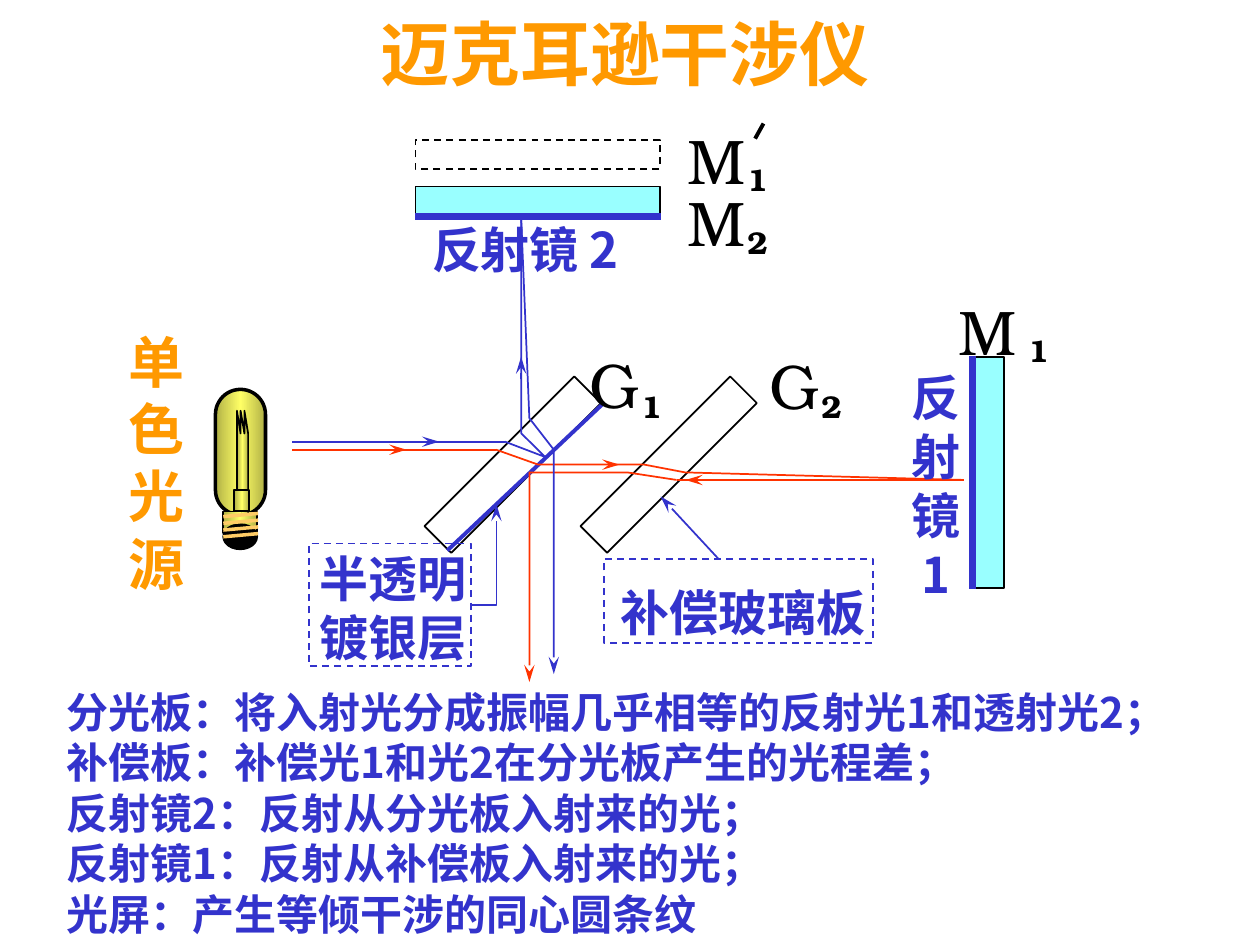
from dataclasses import dataclass
from typing import Optional

from lxml.etree import SubElement
from pptx import Presentation
from pptx.dml.color import RGBColor
from pptx.enum.dml import MSO_LINE
from pptx.enum.shapes import MSO_CONNECTOR, MSO_SHAPE
from pptx.enum.text import MSO_ANCHOR, PP_ALIGN
from pptx.oxml.ns import qn
from pptx.util import Pt


@dataclass(frozen=True)
class Theme:
    blue: str = "3333CC"
    red: str = "FF3300"
    orange: str = "FF9900"
    black: str = "000000"
    mirror: str = "99FFFF"
    brass: str = "FFCC66"
    glow_edge: str = "B1B146"
    glow_middle: str = "FFFF66"
    chinese: str = "Noto Sans CJK SC"
    serif: str = "TeX Gyre Bonum"
    title: int = 40
    source: int = 32
    label: int = 28
    body: int = 24
    symbol: int = 36
    subscript: int = 18


THEME = Theme()
GLOW = "glow"


@dataclass(frozen=True)
class Label:
    lines: tuple[str, ...]
    box: tuple[float, float, float, float]
    size: int = THEME.label
    color: str = THEME.blue
    font: str = THEME.chinese
    bold: bool = True
    align: PP_ALIGN = PP_ALIGN.LEFT


@dataclass(frozen=True)
class Ray:
    points: tuple[tuple[float, float], ...]
    color: str
    width: float = 1
    arrow: bool = False
    fill: Optional[str] = None


@dataclass(frozen=True)
class Block:
    box: tuple[float, float, float, float]
    color: str = THEME.black
    fill: Optional[str] = None
    kind: MSO_SHAPE = MSO_SHAPE.RECTANGLE
    width: float = 1
    dashed: bool = False
    rotation: float = 0


PLATES = [Block((x, 254.7, 121, 21.6), rotation=315) for x in (232.5, 321.6)]
RAYS = [
    Ray(((167, 257), (283.5, 257)), THEME.red),
    Ray(((344.9, 230.4), (255.6, 314.6)), THEME.blue, 2.25),
    Ray(((283.5, 257), (307.4, 265.5), (367.9, 265.5), (391.5, 270), (550.8, 274.3)), THEME.red),
    Ray(((550.8, 274.3), (386.6, 274.3)), THEME.red),
    Ray(((386.6, 274.3), (358.6, 270), (302.5, 270), (302.5, 389.8)), THEME.red, arrow=True),
    Ray(((167, 252.4), (288.5, 252.4)), THEME.blue),
    Ray(((288.5, 252.4), (311.6, 261.2), (297.8, 247.6), (297.8, 123.8)), THEME.blue),
    Ray(((297.8, 123.8), (302.5, 239)), THEME.blue),
    Ray(((302.5, 239), (316.5, 257), (316.5, 385.2)), THEME.blue, arrow=True),
]
MIRRORS = [
    Block((237.4, 106.6, 139.7, 16.6), fill=THEME.mirror),
    Block((555.8, 204.2, 18, 131.8), fill=THEME.mirror),
    Block((237.4, 79.9, 139.7, 16.6), dashed=True),
]
MIRROR_FACES = [
    Ray(((555.6, 203.6), (555.6, 336.8)), THEME.blue, 4),
    Ray(((237.2, 123.7), (377.6, 123.7)), THEME.blue, 4),
    Ray(((436.3, 70.6), (431.5, 79.2)), THEME.black, 2.25),
]
DIRECTIONS = [
    Ray((start, end), color, arrow=True)
    for start, end, color in (
        ((223.2, 252.4), (251, 252.4), THEME.blue),
        ((297.8, 216.7), (297.8, 203.8), THEME.blue),
        ((204.5, 257), (232.3, 257), THEME.red),
        ((326.2, 265.5), (354, 265.5), THEME.red),
        ((419.8, 274.3), (391.7, 274.3), THEME.red),
    )
]
CALLOUTS = [
    Block((176.4, 310.5, 92.9, 70), THEME.blue, dashed=True),
    Block((345.2, 319.5, 153.6, 47.8), THEME.blue, dashed=True),
]
LEADERS = [
    Ray(((269.5, 345.6), (283.7, 345.6), (283.7, 288)), THEME.blue, arrow=True),
    Ray(((410.4, 319.2), (377.5, 283.7)), THEME.blue, arrow=True),
]
BULB = [
    Block((123.1, 222.5, 28.6, 71.8), fill=GLOW, kind=MSO_SHAPE.ROUNDED_RECTANGLE, width=2),
    Block((127.6, 292.3, 19.4, 12.2), fill=GLOW),
    Block((127.6, 299.5, 19.4, 14.4), fill=THEME.black, kind=MSO_SHAPE.OVAL),
]
FILAMENT = Ray(
    ((135.4, 291.6), (135.4, 234.7), (137.5, 247.7), (137.5, 234.7),
     (139.7, 247.7), (139.7, 234.7), (141.8, 247.7), (141.8, 293.8)),
    THEME.black, fill=GLOW)
THREADS = [
    Ray(((127.6, y), (147.5, y - 1.8)), THEME.brass, 2)
    for y in (295.2 + 3.85 * row for row in range(4))
]
STEM = Block((133.9, 280, 8.6, 12.2), fill=GLOW)
LABELS = [
    Label(("分光板：将入射光分成振幅几乎相等的反射光1和透射光2；",
           "补偿板：补偿光1和光2在分光板产生的光程差；",
           "反射镜2：反射从分光板入射来的光；",
           "反射镜1：反射从补偿板入射来的光；",
           "光屏：产生等倾干涉的同心圆条纹"),
          (31, 388.8, 688, 151.2), THEME.body),
    Label(("半透明", "镀银层"), (175.6, 310, 98.6, 74.9)),
    Label(tuple("单色光源"), (66.2, 183.6, 46.8, 161.3), THEME.source, THEME.orange),
    Label(tuple("反射镜1"), (513.4, 206.6, 42.5, 141.8), align=PP_ALIGN.CENTER),
    Label(("反射镜 2",), (239.8, 121.7, 133.2, 41)),
    Label(("补偿玻璃板",), (347.4, 329.4, 154.6, 41)),
    Label(("迈克耳逊干涉仪",), (210.2, 2.2, 294.5, 55.4), THEME.title, THEME.orange),
]
SYMBOLS = [
    ("M", 385.9, 101.5, "2", 419.8, 123.8),
    ("M", 540.7, 163.4, "1", 580.5, 185.8),
    ("M", 385.9, 66.2, "1", 419.8, 87.8),
    ("G", 432.7, 194.4, "2", 462.2, 217.4),
    ("G", 329.8, 193.7, "1", 359.3, 217.4),
]


def style_fill(shape, fill: Optional[str]) -> None:
    """Fill a shape with a colour, the glass glow or nothing."""
    if fill is None:
        shape.fill.background()
    elif fill == GLOW:
        shape.fill.gradient()
        shape.fill.gradient_angle = 0
        stops = shape._element.spPr.find(qn("a:gradFill")).find(qn("a:gsLst"))
        for stop in list(stops):
            stops.remove(stop)
        for position, color in ((0, THEME.glow_edge), (50000, THEME.glow_middle), (100000, THEME.glow_edge)):
            stop = SubElement(stops, qn("a:gs"), pos=str(position))
            SubElement(stop, qn("a:srgbClr"), val=color)
    else:
        shape.fill.solid()
        shape.fill.fore_color.rgb = RGBColor.from_string(fill)


def style_line(shape, color: str, width: float) -> None:
    """Set the colour and width of an outline."""
    shape.line.color.rgb = RGBColor.from_string(color)
    shape.line.width = Pt(width)


def draw_block(slide, block: Block) -> None:
    """Draw a preset shape."""
    shape = slide.shapes.add_shape(block.kind, *map(Pt, block.box))
    shape.shadow.inherit = False
    shape.rotation = block.rotation
    if block.kind == MSO_SHAPE.ROUNDED_RECTANGLE:
        shape.adjustments[0] = 0.5
    style_fill(shape, block.fill)
    style_line(shape, block.color, block.width)
    if block.dashed:
        shape.line.dash_style = MSO_LINE.DASH


def draw_ray(slide, ray: Ray) -> None:
    """Draw a straight line as a connector and a bent one as a freeform."""
    points = [(Pt(x), Pt(y)) for x, y in ray.points]
    if len(points) == 2:
        shape = slide.shapes.add_connector(MSO_CONNECTOR.STRAIGHT, *points[0], *points[1])
        style_line(shape, ray.color, ray.width)
        SubElement(shape._element.spPr, qn("a:effectLst"))
    else:
        builder = slide.shapes.build_freeform(*points[0])
        builder.add_line_segments(points[1:], close=False)
        shape = builder.convert_to_shape()
        shape.shadow.inherit = False
        style_fill(shape, ray.fill)
        style_line(shape, ray.color, ray.width)
    if ray.arrow:
        SubElement(shape.line._get_or_add_ln(), qn("a:tailEnd"), type="stealth", w="med", len="lg")


def draw_label(slide, label: Label) -> None:
    """Write one paragraph per line in an unwrapped text box."""
    frame = slide.shapes.add_textbox(*map(Pt, label.box)).text_frame
    frame.word_wrap = False
    frame.vertical_anchor = MSO_ANCHOR.TOP
    frame.text = "\n".join(label.lines)
    for paragraph in frame.paragraphs:
        paragraph.alignment = label.align
        font = paragraph.font
        font.size = Pt(label.size)
        font.bold = label.bold
        font.color.rgb = RGBColor.from_string(label.color)
        font.name = label.font
        properties = paragraph._p.get_or_add_pPr().find(qn("a:defRPr"))
        SubElement(properties, qn("a:ea"), typeface=label.font)


def draw_symbol(slide, letter: str, x: float, y: float, index: str, index_x: float, index_y: float) -> None:
    """Write a letter with its lowered index."""
    draw_label(slide, Label((letter,), (x, y, 47.5 if letter == "M" else 43.2, 50.4),
                            THEME.symbol, THEME.black, THEME.serif, False))
    draw_label(slide, Label((index,), (index_x, index_y, 26.6, 28.8),
                            THEME.subscript, THEME.black, THEME.serif))


def main() -> None:
    """Build the interferometer slide."""
    presentation = Presentation()
    presentation.slide_width, presentation.slide_height = Pt(720), Pt(540)
    slide = presentation.slides.add_slide(presentation.slide_layouts[6])
    for item in [*PLATES, *RAYS, *MIRRORS, *MIRROR_FACES, *DIRECTIONS, *CALLOUTS,
                 *LEADERS, *BULB, FILAMENT, *THREADS, STEM]:
        (draw_block if isinstance(item, Block) else draw_ray)(slide, item)
    for label in LABELS:
        draw_label(slide, label)
    for symbol in SYMBOLS:
        draw_symbol(slide, *symbol)
    presentation.save("out.pptx")


if __name__ == "__main__":
    main()
